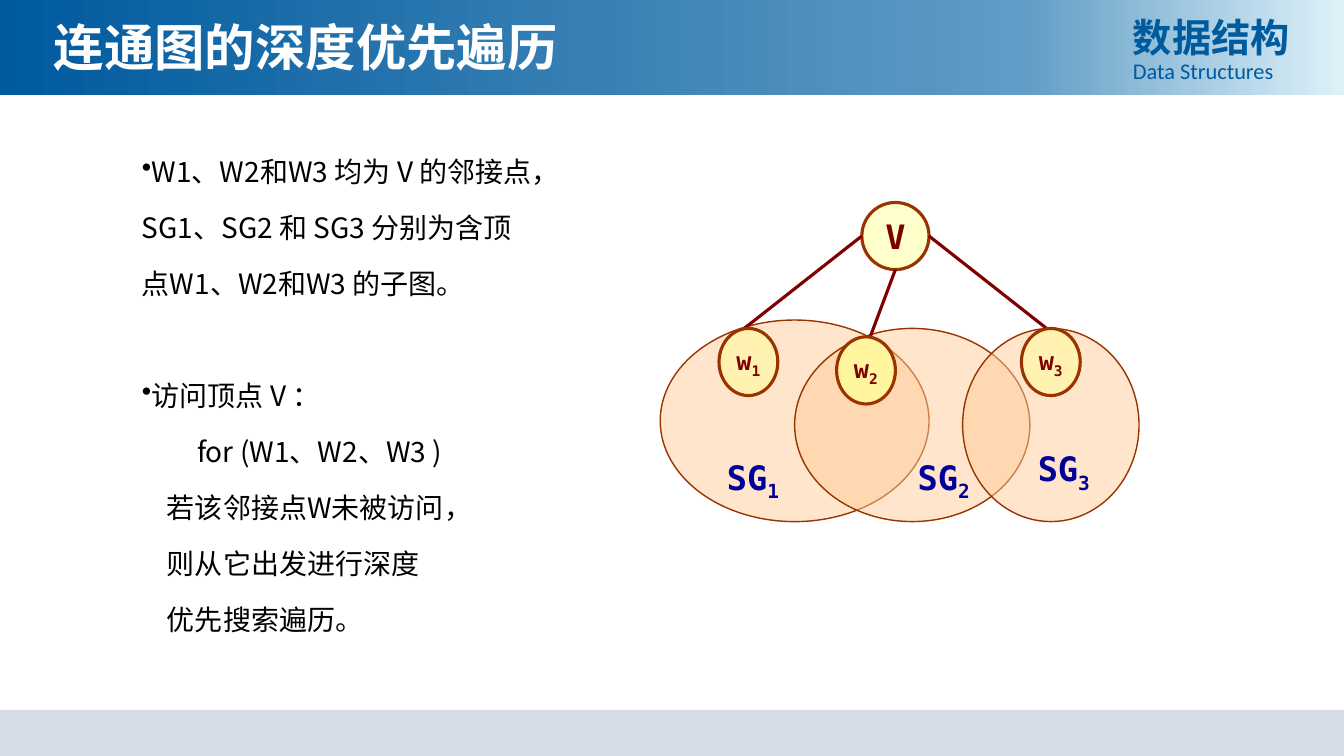
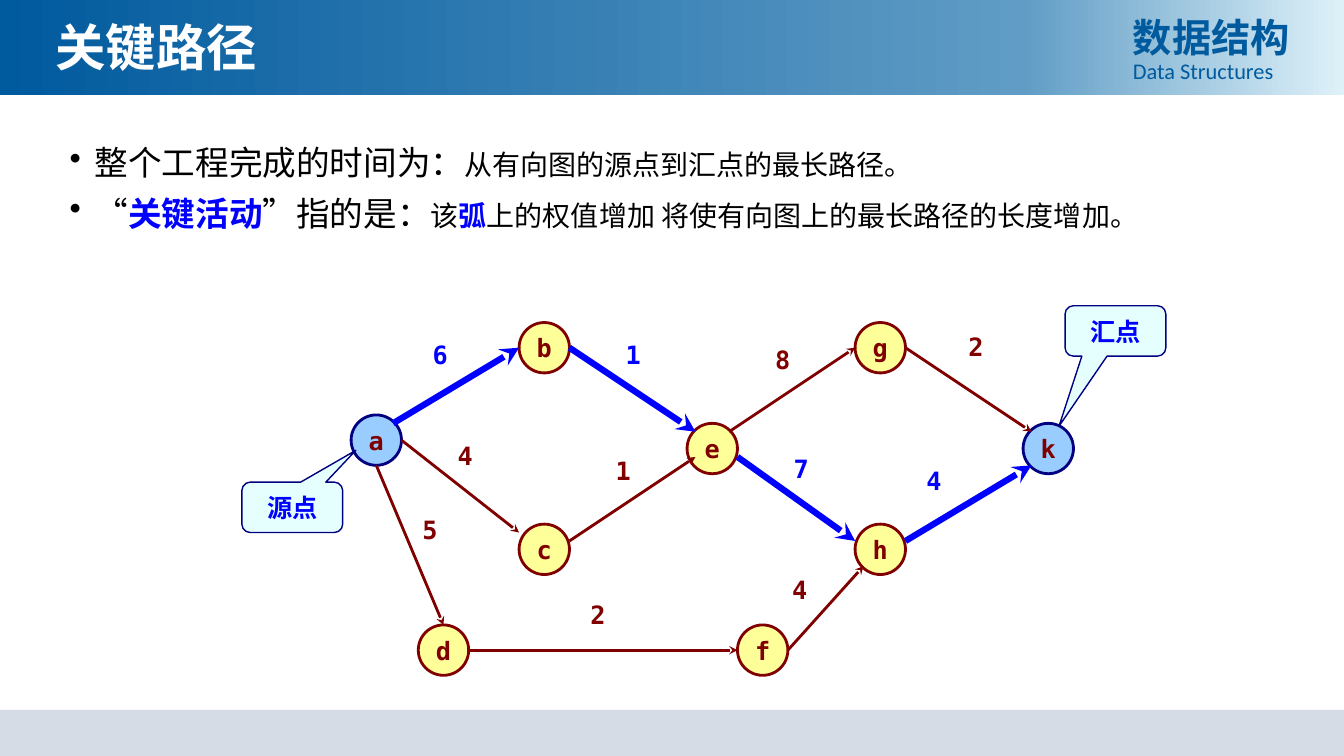
from copy import deepcopy
from dataclasses import dataclass
from typing import NamedTuple, Optional, Sequence

from pptx import Presentation
from pptx.dml.color import RGBColor
from pptx.enum.shapes import MSO_CONNECTOR, MSO_SHAPE
from pptx.enum.text import MSO_ANCHOR, MSO_AUTO_SIZE, PP_ALIGN
from pptx.oxml.ns import qn
from pptx.util import Inches, Pt

STRAIGHT = MSO_CONNECTOR.STRAIGHT
ELLIPSE = MSO_SHAPE.OVAL
RECTANGLE = MSO_SHAPE.RECTANGLE
CALLOUT = MSO_SHAPE.ROUNDED_RECTANGULAR_CALLOUT
MIDDLE, TOP = MSO_ANCHOR.MIDDLE, MSO_ANCHOR.TOP
LEFT, CENTER = PP_ALIGN.LEFT, PP_ALIGN.CENTER

CELL = 1 / 6  # inches; the slide is 80 columns by 45 rows
COLUMNS, ROWS = 80, 45
BAND_ROWS, FOOTER_ROWS = 5.65, 2.75


@dataclass(frozen=True)
class Theme:
    cjk: str = "Noto Sans CJK SC"
    latin: str = "Calibri"
    mono: str = "DejaVu Sans Mono"
    navy: str = "005A9E"
    band: tuple = ((0, "005A9E"), (0.76, "609CC5"), (1, "DEF1F9"))
    footer: str = "D6DCE5"
    white: str = "FFFFFF"
    ink: str = "000000"
    blue: str = "0000FF"
    maroon: str = "800000"
    brown: str = "993300"
    peach: str = "FFCC99"
    yellow: str = "FFFF99"
    sky: str = "99CCFF"
    deep: str = "000080"
    group: str = "000099"
    bubble: str = "CCFFFF"
    title_size: float = 36
    course_size: float = 28
    subtitle_size: float = 16
    lead_size: float = 24
    text_size: float = 20
    label_size: float = 18


THEME = Theme()


class Box(NamedTuple):
    """Left, top, width and height in grid cells."""
    left: float
    top: float
    width: float
    height: float

    def lengths(self) -> list:
        return [Inches(value * CELL) for value in self]


class Point(NamedTuple):
    column: float
    row: float

    def shift(self, columns: float, rows: float) -> "Point":
        return Point(self.column + columns, self.row + rows)

    def box(self, width: float, height: float) -> Box:
        return Box(self.column, self.row, width, height)

    def around(self, width: float, height: float) -> Box:
        return self.shift(-width / 2, -height / 2).box(width, height)


class Span(NamedTuple):
    text: str
    size: float
    color: str = THEME.ink
    bold: bool = False
    font: str = THEME.cjk
    subscript: bool = False


class Line(NamedTuple):
    """One paragraph; indents are in inches, spacing in points."""
    spans: Sequence[Span]
    pitch: Optional[float] = None
    before: float = 0
    margin: float = 0
    indent: float = 0
    bullet: bool = False


class Look(NamedTuple):
    fill: str
    line: Optional[str] = None
    width: float = 1
    opacity: float = 1


class Edge(NamedTuple):
    """An arrow between two nodes, with offsets from their centres."""
    start: str
    start_offset: tuple
    end: str
    end_offset: tuple
    weight: str
    label: tuple
    critical: bool = False


GROUP = Look(THEME.peach, THEME.brown, 1, 0.5)
VERTEX = Look(THEME.yellow, THEME.brown, 2.25, 0.5)
SECOND_VERTEX = VERTEX._replace(opacity=0.75)
NODE = Look(THEME.yellow, THEME.maroon, 2)
TERMINAL = Look(THEME.sky, THEME.deep, 2)
BUBBLE = Look(THEME.bubble, THEME.deep, 1, 0.5)


def mono(text: str, size: float, color: str, subscript: bool = False) -> Span:
    return Span(text, size, color, True, THEME.mono, subscript)


def indexed(name: str, index: str, size: float, color: str) -> list:
    return [mono(name, size, color), mono(index, size, color, True)]


def format_run(run, span: Span) -> None:
    run.font.size, run.font.bold = Pt(span.size), span.bold
    run.font.color.rgb = RGBColor.from_string(span.color)
    run.font.name = span.font
    properties = run.font._element
    east_asian = properties.makeelement(qn("a:ea"), {"typeface": THEME.cjk})
    properties.find(qn("a:latin")).addnext(east_asian)
    if span.subscript:
        properties.set("baseline", "-25000")


def write(shape, lines: Sequence[Line], align=LEFT, anchor=TOP, wrap: bool = True) -> None:
    frame = shape.text_frame
    frame.auto_size = MSO_AUTO_SIZE.NONE
    frame.word_wrap, frame.vertical_anchor = wrap, anchor
    for number, line in enumerate(lines):
        para = frame.add_paragraph() if number else frame.paragraphs[0]
        properties = para._p.get_or_add_pPr()
        if line.margin:
            properties.set("marL", str(Inches(line.margin)))
            properties.set("indent", str(Inches(line.indent)))
        if line.bullet:
            properties.append(properties.makeelement(qn("a:buChar"), {"char": "•"}))
        para.alignment = align
        if line.pitch:
            para.line_spacing = Pt(line.pitch)
        if number:
            para.space_before = Pt(line.before)
        for span in line.spans:
            run = para.add_run()
            run.text = span.text
            format_run(run, span)


def add_text(page, box: Box, lines: Sequence[Line], align=LEFT, anchor=TOP, wrap=True) -> None:
    write(page.shapes.add_textbox(*box.lengths()), lines, align, anchor, wrap)


def add_label(page, box: Box, spans: Sequence[Span]) -> None:
    add_text(page, box, [Line(spans)], CENTER, MIDDLE, False)


def add_figure(page, kind, box: Box, look: Look, spans: Sequence[Span] = ()):
    shape = page.shapes.add_shape(kind, *box.lengths())
    shape.shadow.inherit = False
    shape.fill.solid()
    shape.fill.fore_color.rgb = RGBColor.from_string(look.fill)
    if look.opacity < 1:
        color = shape.element.spPr.find(qn("a:solidFill"))[0]
        color.append(color.makeelement(qn("a:alpha"), {"val": str(int(look.opacity * 100000))}))
    if look.line:
        shape.line.color.rgb = RGBColor.from_string(look.line)
        shape.line.width = Pt(look.width)
    else:
        shape.line.fill.background()
    if spans:
        write(shape, [Line(spans)], CENTER, MIDDLE, False)
    return shape


def add_line(page, start: Point, end: Point, color: str, width: float, arrow: bool = False) -> None:
    ends = [Inches(value * CELL) for value in (*start, *end)]
    connector = page.shapes.add_connector(STRAIGHT, *ends)
    connector.line.color.rgb = RGBColor.from_string(color)
    connector.line.width = Pt(width)
    properties = connector.element.spPr
    if arrow:
        outline = properties.find(qn("a:ln"))
        outline.append(outline.makeelement(qn("a:tailEnd"), {"type": "stealth"}))
    properties.append(properties.makeelement(qn("a:effectLst"), {}))


def paint_band(band) -> None:
    band.fill.gradient()
    band.fill.gradient_angle = 0
    stops = band.element.spPr.find(".//" + qn("a:gsLst"))
    stops.append(deepcopy(stops[-1]))
    for stop, (position, color) in zip(band.fill.gradient_stops, THEME.band):
        stop.position = position
        stop.color.rgb = RGBColor.from_string(color)


def add_page(deck, title: str, title_column: float):
    """Add a slide with the bands, the course name and its title."""
    page = deck.slides.add_slide(deck.slide_layouts[5])
    heading = page.shapes.title
    band = add_figure(page, RECTANGLE, Box(0, 0, COLUMNS, BAND_ROWS), Look(THEME.navy))
    paint_band(band)
    footer = add_figure(page, RECTANGLE, Box(0, ROWS - FOOTER_ROWS, COLUMNS, FOOTER_ROWS),
                        Look(THEME.footer))
    for shape in (band, footer):
        heading.element.addprevious(shape.element)
    box = Box(title_column, 0.25, 45.8, 5)
    heading.left, heading.top, heading.width, heading.height = box.lengths()
    write(heading, [Line([Span(title, THEME.title_size, THEME.white, True)])], LEFT, MIDDLE)
    add_text(page, Box(66.85, 0.3, 11.45, 5.05), [
        Line([Span("数据结构", THEME.course_size, THEME.navy, True)], 36),
        Line([Span("Data Structures", THEME.subtitle_size, THEME.navy, False, THEME.latin)], 17),
    ])
    return page


def build_traversal(deck) -> None:
    page = add_page(deck, "连通图的深度优先遍历", 2.6)
    rows = [  # text, first-line indent, space before, bullet
        ("W1、W2和W3 均为 V 的邻接点，", 0.5, 0, True),
        ("SG1、SG2 和 SG3 分别为含顶", 0.5, 10, False),
        ("点W1、W2和W3 的子图。", 0.5, 10, False),
        ("访问顶点 V ：", 0.5, 50, True),
        ("for (W1、W2、W3 )", 1.05, 10, False),
        ("若该邻接点W未被访问，", 0.75, 10, False),
        ("则从它出发进行深度", 0.75, 10, False),
        ("优先搜索遍历。", 0.75, 10, False),
    ]
    add_text(page, Box(3.35, 8.4, 69, 33.8), [
        Line([Span(text, THEME.text_size)], 30, before, 0.25, indent, bullet)
        for text, indent, before, bullet in rows])

    origin = Point(39.3, 19.05)
    add_figure(page, ELLIPSE, origin.shift(12, -7).box(4, 4), VERTEX,
               [mono("V", THEME.lead_size, THEME.maroon)])
    for group in (Box(0, 0, 16, 12), Box(8, 0.5, 14, 11.5), Box(18, 0.5, 10.5, 11.5)):
        place = origin.shift(group.left, group.top).box(group.width, group.height)
        add_figure(page, ELLIPSE, place, GROUP)
    for start, end in (((12, -5), (5, 0.5)), ((14, -3), (12.5, 1)), ((16, -5), (23, 0.5))):
        add_line(page, origin.shift(*start), origin.shift(*end), THEME.maroon, 2.25)
    for index, column, row in (("1", 3.1, 8), ("2", 14.45, 8), ("3", 21.6, 7.5)):
        add_label(page, origin.shift(column, row).box(4.85, 3),
                  indexed("SG", index, THEME.lead_size, THEME.group))
    for index, column, row, look in (("1", 3.5, 0.5, VERTEX), ("2", 10.5, 1, SECOND_VERTEX),
                                     ("3", 21.5, 0.5, VERTEX)):
        add_figure(page, ELLIPSE, origin.shift(column, row).box(3.5, 4), look,
                   indexed("w", index, THEME.label_size, THEME.maroon))


def build_critical_path(deck) -> None:
    page = add_page(deck, "关键路径", 2.7)
    lead, text = THEME.lead_size, THEME.text_size
    paragraphs = [
        [Span("整个工程完成的时间为：", lead), Span("从有向图的源点到汇点的最长路径。", text)],
        [Span("“", lead), Span("关键活动", lead, THEME.blue, True), Span("”指的是：", lead),
         Span("该", text), Span("弧", text, THEME.blue, True),
         Span("上的权值增加 将使有向图上的最长路径的长度增加。", text)],
    ]
    add_text(page, Box(3.55, 8.4, 69, 28.5),
             [Line(spans, 26, 10, 0.25, -0.25, True) for spans in paragraphs])

    origin = Point(22.4, 20.7)
    offsets = {"a": (0, 5.5), "b": (10, 0), "c": (10, 12), "d": (4, 18), "e": (20, 6),
               "f": (23, 18), "g": (30, 0), "h": (30, 12), "k": (40, 6)}
    nodes = {name: origin.shift(*offset) for name, offset in offsets.items()}
    for name, center in nodes.items():
        add_figure(page, ELLIPSE, center.around(3, 3), TERMINAL if name in "ak" else NODE,
                   [mono(name, THEME.label_size, THEME.maroon)])

    edges = [
        Edge("a", (1, -1), "b", (-1.5, 0), "6", (3.8, 0.4), True),
        Edge("a", (1.5, 0), "c", (-1.5, -1), "4", (5.3, 6.4)),
        Edge("a", (0, 1.5), "d", (0, -1.5), "5", (3.2, 10.8)),
        Edge("b", (1.5, 0), "e", (-1, -1), "1", (15.3, 0.4), True),
        Edge("c", (1.5, -0.5), "e", (-1, 0.5), "1", (14.7, 7.3)),
        Edge("d", (1.5, 0), "f", (-1.5, 0), "2", (13.2, 15.9)),
        Edge("e", (1, -1), "g", (-1.5, 0), "8", (24.2, 0.7)),
        Edge("e", (1.5, 0.5), "h", (-1.5, -0.5), "7", (25.3, 7.2), True),
        Edge("f", (1.5, 0), "h", (-1, 1), "4", (25.2, 14.4)),
        Edge("g", (1.5, 0), "k", (-1, -1), "2", (35.7, -0.1)),
        Edge("h", (1.5, -0.5), "k", (-1, 1), "4", (33.2, 7.9), True),
    ]
    for edge in edges:
        color, width = (THEME.blue, 4.5) if edge.critical else (THEME.maroon, 2)
        add_line(page, nodes[edge.start].shift(*edge.start_offset),
                 nodes[edge.end].shift(*edge.end_offset), color, width, True)
        add_label(page, origin.shift(*edge.label).around(2.5, 2.4),
                  [mono(edge.weight, THEME.label_size, color)])

    for name, place, pointer in (("源点", (-8, 8), (0.63, -1.13)),
                                 ("汇点", (41, -2.5), (-0.56, 1.89))):
        callout = add_figure(page, CALLOUT, origin.shift(*place).box(6, 3), BUBBLE,
                             [mono(name, THEME.label_size, THEME.blue)])
        callout.adjustments[0], callout.adjustments[1] = pointer


def main() -> None:
    deck = Presentation()
    deck.slide_width, deck.slide_height = Inches(COLUMNS * CELL), Inches(ROWS * CELL)
    build_traversal(deck)
    build_critical_path(deck)
    deck.save("out.pptx")


if __name__ == "__main__":
    main()
